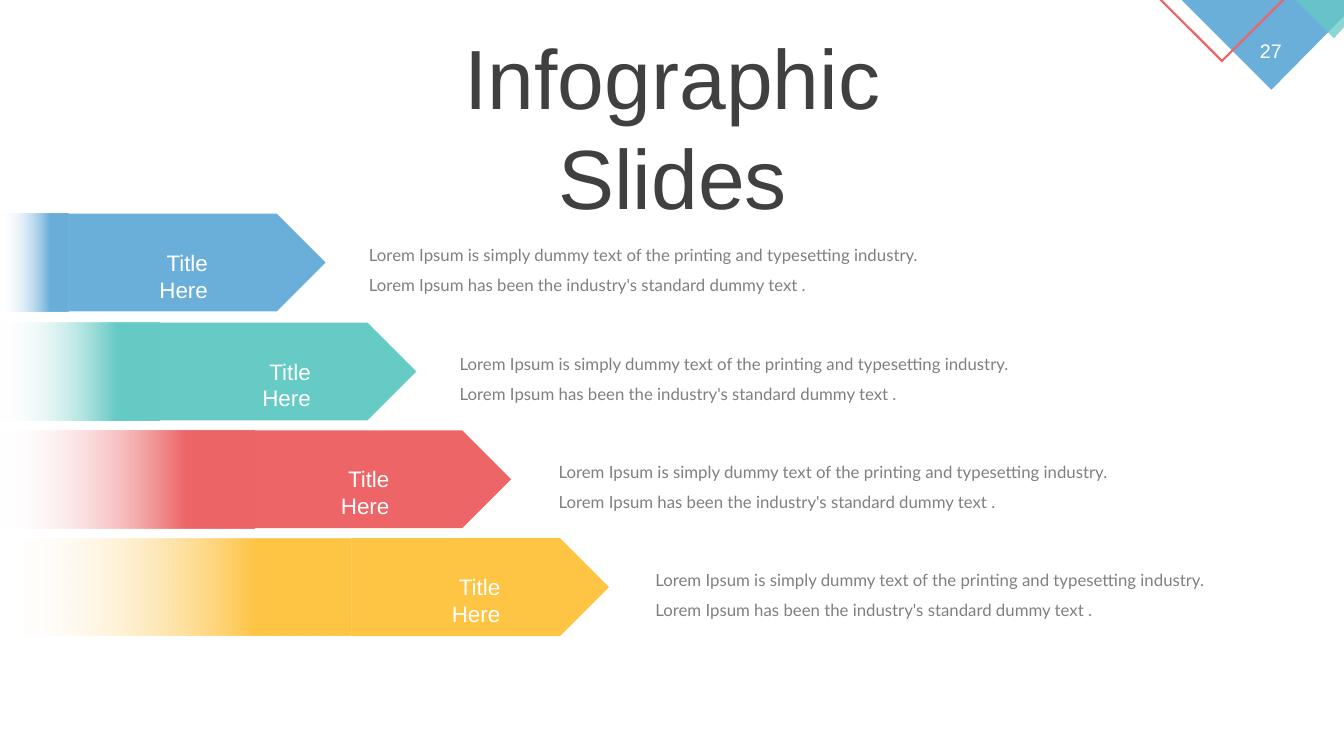
from lxml import etree
from pptx import Presentation
from pptx import util as u
from pptx.dml.color import RGBColor
from pptx.enum import shapes, text
from pptx.oxml.ns import qn

PX = 9144
BLUE = RGBColor(0x6A, 0xAE, 0xDA)
TEAL = RGBColor(0x66, 0xCA, 0xC5)
RED = RGBColor(0xED, 0x65, 0x66)
YELLOW = RGBColor(0xFE, 0xC4, 0x44)
WHITE = RGBColor(0xFF, 0xFF, 0xFF)
DARK = RGBColor(0x40, 0x40, 0x40)
GRAY = RGBColor(0x80, 0x80, 0x80)

BAND_H = 97
ARROW_W = 255
BODY = ("Lorem Ipsum is simply dummy text of the printing and typesetting industry. "
        "Lorem Ipsum has been the industry's standard dummy text .")
ROWS = [
    (68, 212, 105, 366, BLUE),
    (158, 320, 207, 456, TEAL),
    (252, 427, 285, 554, RED),
    (349, 534, 395, 650, YELLOW),
]


def box(*lengths):
    return [u.Emu(n * PX) for n in lengths]


def set_alpha(sp, percent):
    color = next(sp._element.iter(qn("a:srgbClr")))
    etree.SubElement(color, qn("a:alpha")).set("val", str(percent * 1000))


def paint(sp, color):
    sp.shadow.inherit = False
    sp.line.fill.background()
    sp.fill.solid()
    sp.fill.fore_color.rgb = color


def add_outline(s, points, color):
    builder = s.shapes.build_freeform(*points[0], scale=PX)
    builder.add_line_segments(points[1:], close=True)
    sp = builder.convert_to_shape()
    paint(sp, color)
    return sp


def add_arrow(s, left, top, color):
    sp = s.shapes.add_shape(shapes.MSO_SHAPE.PENTAGON, *box(left, top, ARROW_W, BAND_H))
    paint(sp, color)


def add_fade(s, width, top, color):
    sp = s.shapes.add_shape(shapes.MSO_SHAPE.RECTANGLE, *box(0, top, width, BAND_H))
    sp.shadow.inherit = False
    sp.line.fill.background()
    sp.fill.gradient()
    sp.fill.gradient_angle = 0
    for stop, position, tint in zip(sp.fill.gradient_stops, (0, 0.73), (WHITE, color)):
        stop.position = position
        stop.color.rgb = tint
    set_alpha(sp, 0)


def add_text(s, bounds, content, font, size, color, align, spacing=1.0, inset=(10, 5)):
    tf = s.shapes.add_textbox(*box(*bounds)).text_frame
    tf.word_wrap = True
    tf.margin_left = tf.margin_right = u.Emu(inset[0] * PX)
    tf.margin_top = tf.margin_bottom = u.Emu(inset[1] * PX)
    p = tf.paragraphs[0]
    p.alignment = align
    p.line_spacing = spacing
    r = p.add_run()
    r.text = content
    r.font.name = font
    r.font.size = u.Pt(size)
    r.font.color.rgb = color


def add_corner(s):
    add_outline(s, [(1172, 0), (1333, 0), (1333, 16), (1261, 89)], BLUE)
    add_outline(s, [(1150, 0), (1153, 0), (1212, 59), (1271, 0), (1274, 0), (1212, 62)], RED)
    teal = add_outline(s, [(1285, 0), (1333, 0), (1333, 27), (1323, 38)], TEAL)
    set_alpha(teal, 75)
    add_text(s, (1233, 34, 55, 34), "27", "Arial", 14, WHITE, text.PP_ALIGN.CENTER)


def main():
    prs = Presentation()
    prs.slide_width, prs.slide_height = box(1333, 750)
    s = prs.slides.add_slide(prs.slide_layouts[6])
    add_corner(s)
    add_text(s, (332, 20, 670, 111), "Infographic Slides", "Arial", 60, DARK,
             text.PP_ALIGN.CENTER)
    for left, top, _, _, color in reversed(ROWS):
        add_arrow(s, left, top, color)
        add_fade(s, left, top, color)
    for _, top, label_left, body_left, _ in ROWS:
        add_text(s, (label_left, top + 30, 111, 37), "Title Here", "Arial", 16, WHITE,
                 text.PP_ALIGN.RIGHT)
        add_text(s, (body_left, top + 21, 546, 57), BODY, "Lato", 12, GRAY,
                 text.PP_ALIGN.LEFT, 1.5, (0, 0))
    prs.save("out.pptx")


if __name__ == "__main__":
    main()
